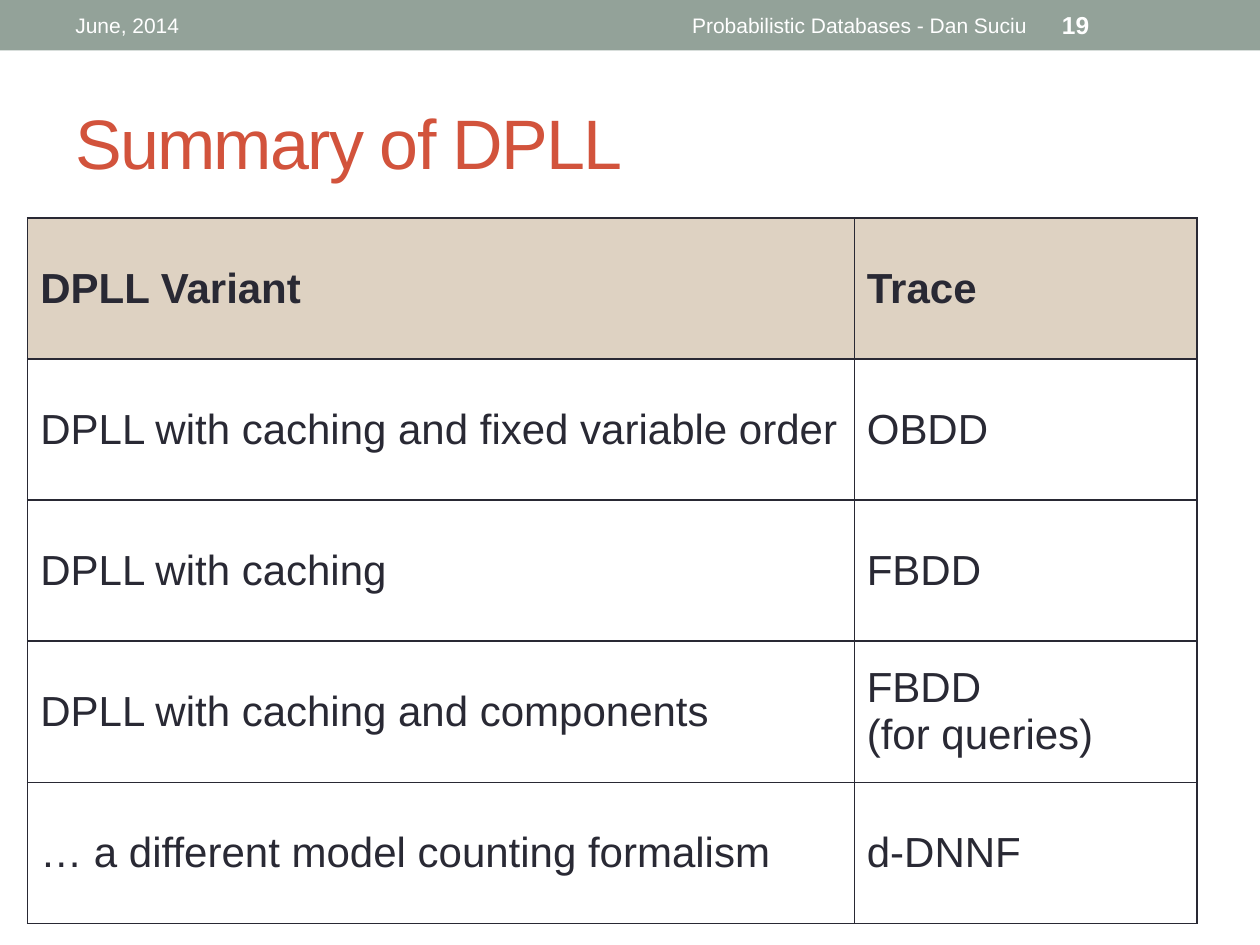
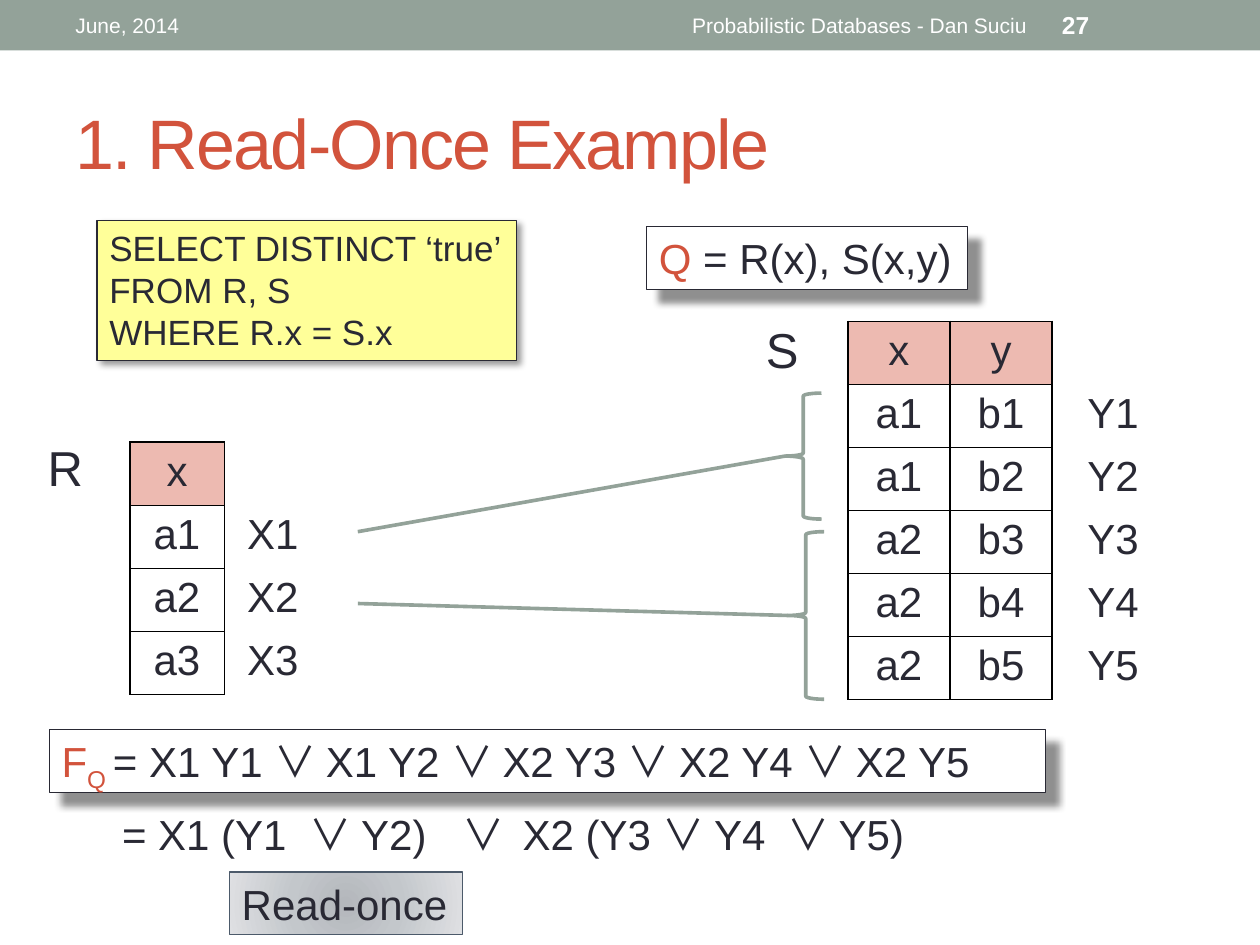
import lxml.etree
import pptx
import pptx.dml.color
import pptx.enum.shapes
import pptx.enum.text
import pptx.oxml
import pptx.oxml.ns
import pptx.util

Inches = pptx.util.Inches
Pt = pptx.util.Pt
ALIGN = pptx.enum.text.PP_ALIGN
ANCHOR = pptx.enum.text.MSO_ANCHOR
SHAPE = pptx.enum.shapes.MSO_SHAPE

INK, RED, SAGE, WHITE, BLACK = "292934", "D2533C", "93A299", "FFFFFF", "000000"
SAND, PINK, YELLOW, SLATE = "DED2C2", "EDBAB1", "FFFF99", "4C5A6A"
FONT, SYMBOL_FONT = "Arial", "Noto Sans CJK JP"

DATE, FOOTER = "June, 2014", "Probabilistic Databases - Dan Suciu"

VARIANTS = [
    ("DPLL Variant", "Trace"),
    ("DPLL with caching and fixed variable order", "OBDD"),
    ("DPLL with caching", "FBDD"),
    ("DPLL with caching and components", "FBDD\v(for queries)"),
    ("… a different model counting formalism", "d-DNNF"),
]
R_ROWS = [("x", ""), ("a1", "X1"), ("a2", "X2"), ("a3", "X3")]
S_ROWS = [("x", "y", ""), ("a1", "b1", "Y1"), ("a1", "b2", "Y2"),
          ("a2", "b3", "Y3"), ("a2", "b4", "Y4"), ("a2", "b5", "Y5")]
RELATION_NAMES = [("S", (5.98, 2.49, 0.46, 0.57)), ("R", (0.28, 3.42, 0.49, 0.57))]
# brace position, start of the line that leads to it
GROUPS = [((6.23, 3.12, 0.29, 1), (2.84, 4.22)),
          ((6.25, 4.22, 0.29, 1.33), (2.84, 4.79))]

SQL = [["SELECT DISTINCT ‘true’"], ["FROM R, S\vWHERE R.x = S.x"]]
QUERY = [[("Q ", {"color": RED}), "= R(x), S(x,y)"]]
LINEAGE = [[("F", {"color": RED}), ("Q ", {"color": RED, "baseline": -25}),
            "= X1 Y1 ∨ X1 Y2 ∨ X2 Y3 ∨ X2 Y4 ∨ X2 Y5"]]
FACTORED = [["= X1 (Y1\t∨ Y2)\t∨\tX2 (Y3 ∨ Y4\t∨ Y5)"]]
FACTORED_TABS = [1.49, 2.7, 3.18, 5.28]
READ_ONCE_STOPS = [(0, "B4B7BC"), (45, "C3C7CB"), (100, "DFE0E3")]


def rgb(color):
    return pptx.dml.color.RGBColor.from_string(color)


def xml(markup):
    head, tail = markup.split(">", 1) if not markup.split(">", 1)[0].endswith("/") else (markup[:-2], None)
    namespace = pptx.oxml.ns.nsdecls("a")
    if tail is None:
        return pptx.oxml.parse_xml(f"{head} {namespace}/>")
    return pptx.oxml.parse_xml(f"{head} {namespace}>{tail}")


def box(position):
    return [Inches(length) for length in position]


def add_run(paragraph, text, size, color, bold, font=FONT, spacing=None, baseline=None):
    run = paragraph.add_run()
    run.text = text
    run.font.name = font
    run.font.size = Pt(size)
    run.font.bold = bold
    run.font.color.rgb = rgb(color)
    properties = run.font._element
    if font == SYMBOL_FONT:
        properties.append(xml(f'<a:ea typeface="{font}"/>'))
    if spacing:
        properties.set("spc", str(spacing * 100))
    if baseline:
        properties.set("baseline", str(baseline * 1000))


def write(frame, text, size=24, color=INK, bold=False, align=ALIGN.LEFT, spacing=None, tabs=()):
    """Fill a text frame from a string or from paragraphs of strings and (string, format) pairs."""
    paragraphs = [[text]] if isinstance(text, str) else text
    for index, pieces in enumerate(paragraphs):
        paragraph = frame.add_paragraph() if index else frame.paragraphs[0]
        paragraph.alignment = align
        if tabs:
            stops = "".join(f'<a:tab pos="{Inches(tab)}" algn="l"/>' for tab in tabs)
            paragraph._p.get_or_add_pPr().append(xml(f"<a:tabLst>{stops}</a:tabLst>"))
        for piece in pieces:
            words, extra = (piece, {}) if isinstance(piece, str) else piece
            style = {"size": size, "color": color, "bold": bold, "spacing": spacing, **extra}
            for line_index, line in enumerate(words.split("\v")):
                if line_index:
                    paragraph.add_line_break()
                for part_index, part in enumerate(line.split("∨ " if "∨ " in line else "∨")):
                    if part_index:
                        add_run(paragraph, "∨ ", **{**style, "font": SYMBOL_FONT})
                    for symbol_index, rest in enumerate(part.split("∨")):
                        if symbol_index:
                            add_run(paragraph, "∨", **{**style, "font": SYMBOL_FONT})
                        if rest:
                            add_run(paragraph, rest, **style)


def add_text(slide, position, text, anchor=ANCHOR.TOP, wrap=True, grow=False, **style):
    shape = slide.shapes.add_textbox(*box(position))
    set_text(shape, text, anchor, wrap, grow, **style)


def set_text(shape, text, anchor=ANCHOR.TOP, wrap=False, grow=True, **style):
    frame = shape.text_frame
    frame.word_wrap = wrap
    frame.vertical_anchor = anchor
    if grow:
        frame.auto_size = pptx.enum.text.MSO_AUTO_SIZE.SHAPE_TO_FIT_TEXT
    write(frame, text, **style)


def add_panel(slide, position, fill=None, line=None, width=0.75, kind=SHAPE.RECTANGLE):
    shape = slide.shapes.add_shape(kind, *box(position))
    shape.shadow.inherit = False
    if fill:
        shape.fill.solid()
        shape.fill.fore_color.rgb = rgb(fill)
    else:
        shape.fill.background()
    if line:
        shape.line.color.rgb = rgb(line)
        shape.line.width = Pt(width)
    else:
        shape.line.fill.background()
    return shape


def add_shadow(shape, opacity, blur, distance):
    effects = shape._element.spPr.find(pptx.oxml.ns.qn("a:effectLst"))
    effects.append(xml(
        f'<a:outerShdw blurRad="{Pt(blur)}" dist="{Pt(distance)}" dir="2700000" algn="tl" rotWithShape="0">'
        f'<a:srgbClr val="{BLACK}"><a:alpha val="{opacity * 1000}"/></a:srgbClr></a:outerShdw>'))


def set_radial_fill(shape, stops):
    shape.fill.gradient()
    gradient = shape._element.spPr.find(pptx.oxml.ns.qn("a:gradFill"))
    for child in list(gradient):
        gradient.remove(child)
    marks = "".join(f'<a:gs pos="{place * 1000}"><a:srgbClr val="{color}"/></a:gs>' for place, color in stops)
    gradient.append(xml(f"<a:gsLst>{marks}</a:gsLst>"))
    gradient.append(xml('<a:path path="circle"><a:fillToRect l="100000" t="100000" r="100000" b="100000"/></a:path>'))


def set_borders(cell, color, drawn_sides):
    properties = cell._tc.get_or_add_tcPr()
    for side in "LRTB":
        paint = f'<a:solidFill><a:srgbClr val="{color}"/></a:solidFill>' if side in drawn_sides else "<a:noFill/>"
        properties.append(xml(f'<a:ln{side} w="{Pt(1)}">{paint}</a:ln{side}>'))


def add_grid(slide, left, top, widths, row_height, rows, header, border,
             label_columns=0, header_bold=False, anchor=ANCHOR.TOP, align=ALIGN.LEFT):
    """Add a table whose last label_columns stand outside the ruled part."""
    frame = slide.shapes.add_table(len(rows), len(widths), *box((left, top, sum(widths), row_height * len(rows))))
    table = frame.table
    table.first_row = table.horz_banding = False
    for column, width in zip(table.columns, widths):
        column.width = Inches(width)
    for row_index, texts in enumerate(rows):
        table.rows[row_index].height = Inches(row_height)
        for column_index, text in enumerate(texts):
            cell = table.cell(row_index, column_index)
            is_label = column_index >= len(widths) - label_columns
            is_header = row_index == 0 and not is_label
            cell.vertical_anchor = anchor
            set_borders(cell, border, "L" if is_label else "LRTB")
            if is_header:
                cell.fill.solid()
                cell.fill.fore_color.rgb = rgb(header)
            else:
                cell.fill.background()
            write(cell.text_frame, text, bold=is_header and header_bold, align=align)


def add_slide(presentation, title, number):
    slide = presentation.slides.add_slide(presentation.slide_layouts[6])
    add_panel(slide, (0, 0, 10, 0.4), SAGE)
    add_text(slide, (0.5, 0.58, 9, 1.08), title, ANCHOR.MIDDLE, size=40, color=RED, spacing=-1)
    band_style = {"anchor": ANCHOR.MIDDLE, "color": WHITE}
    add_text(slide, (0.5, 0.02, 3.17, 0.36), DATE, size=12, **band_style)
    add_text(slide, (3.75, 0.02, 4.5, 0.36), FOOTER, size=12, align=ALIGN.RIGHT, **band_style)
    add_text(slide, (8.33, 0.02, 1.17, 0.36), str(number), size=14, bold=True, **band_style)
    return slide


def add_group(slide, position, start):
    """Draw a brace and the line that leads to its tip."""
    brace = add_panel(slide, position, line=SAGE, width=2.08, kind=SHAPE.LEFT_BRACE)
    line = slide.shapes.add_connector(pptx.enum.shapes.MSO_CONNECTOR.STRAIGHT, *box(start + start))
    line.end_connect(brace, 1)
    line.line.color.rgb = rgb(SAGE)
    line.line.width = Pt(2.08)
    line._element.spPr.append(xml("<a:effectLst/>"))


def build_summary(presentation):
    slide = add_slide(presentation, "Summary of DPLL", 19)
    add_grid(slide, 0.22, 1.73, [6.56, 2.72], 1.12, VARIANTS, SAND, INK,
             header_bold=True, anchor=ANCHOR.MIDDLE)


def build_read_once(presentation):
    slide = add_slide(presentation, "1. Read-Once Example", 27)
    relation_style = {"row_height": 0.47, "header": PINK, "border": BLACK,
                      "label_columns": 1, "align": ALIGN.CENTER}
    add_grid(slide, 6.73, 2.55, [0.81, 0.81, 0.97], rows=S_ROWS, **relation_style)
    add_grid(slide, 1.03, 3.51, [0.75, 0.77], rows=R_ROWS, **relation_style)
    for position, start in GROUPS:
        add_group(slide, position, start)
    for name, position in RELATION_NAMES:
        add_text(slide, position, name, wrap=False, grow=True, size=28)

    sql = add_panel(slide, (0.77, 1.75, 3.33, 1.11), YELLOW, INK)
    add_shadow(sql, 40, 4, 3)
    set_text(sql, SQL, size=20)
    query = add_panel(slide, (5.13, 1.8, 2.55, 0.5), WHITE, INK)
    add_shadow(query, 43, 4, 10)
    set_text(query, QUERY)
    add_text(slide, (0.87, 6.37, 7.11, 0.5), FACTORED, tabs=FACTORED_TABS)
    read_once = add_panel(slide, (1.82, 6.92, 1.85, 0.5), line=SLATE)
    set_radial_fill(read_once, READ_ONCE_STOPS)
    set_text(read_once, "Read-once")
    lineage = add_panel(slide, (0.39, 5.79, 7.91, 0.5), WHITE, INK)
    add_shadow(lineage, 43, 4, 10)
    set_text(lineage, LINEAGE, wrap=True, grow=False)


def main():
    presentation = pptx.Presentation()
    presentation.slide_width, presentation.slide_height = Inches(10), Inches(7.5)
    build_summary(presentation)
    build_read_once(presentation)
    presentation.save("out.pptx")


if __name__ == "__main__":
    main()
